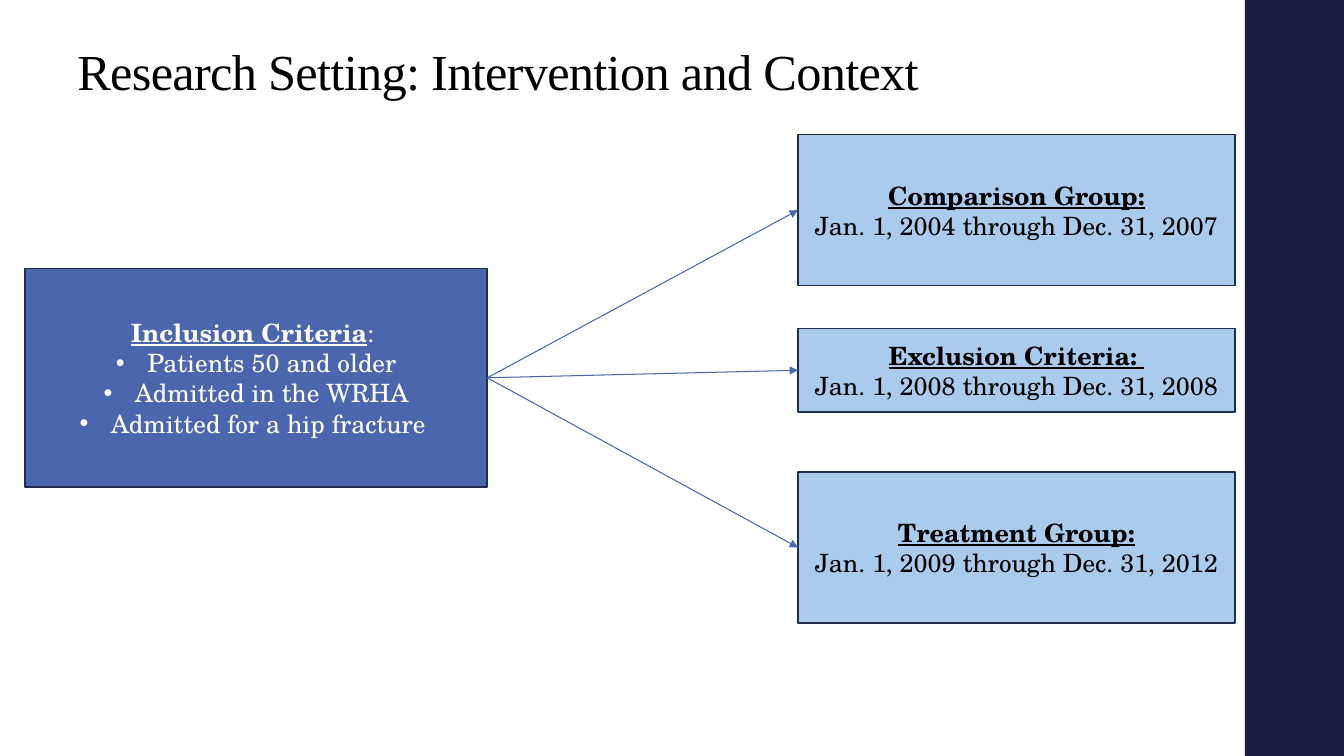
import pptx
import pptx.dml.color
import pptx.enum.shapes
import pptx.enum.text
import pptx.oxml
import pptx.oxml.ns
import pptx.util
from lxml import etree

Cm = pptx.util.Cm
Pt = pptx.util.Pt
RGBColor = pptx.dml.color.RGBColor
qn = pptx.oxml.ns.qn

WHITE = RGBColor(0xFF, 0xFF, 0xFF)
BLACK = RGBColor(0x00, 0x00, 0x00)
NIGHT = RGBColor(0x1B, 0x1E, 0x3E)
BLUE = RGBColor(0x4A, 0x66, 0xAC)
SKY = RGBColor(0xA9, 0xCC, 0xEE)
NAVY = RGBColor(0x20, 0x2D, 0x4B)

HEADING = {"bold": True, "underline": True}
PLAIN = {"bold": False, "underline": False}


class Deck:
    title_font = {"name": "Times New Roman", "size": Pt(36)}
    body_font = {"name": "TeX Gyre Schola", "size": Pt(18)}
    border = Pt(1.1)
    arrow_width = Pt(0.75)
    bullet_indent = Cm(0.79)

    def __init__(self, prs):
        self.s = prs.slides.add_slide(prs.slide_layouts[6])

    def run(self, p, text, color, *formats):
        r = p.add_run()
        r.text = text
        for values in formats:
            for name, value in values.items():
                setattr(r.font, name, value)
        r.font.color.rgb = color
        return r

    def rect(self, x, y, w, h, fill, line=None):
        sp = self.s.shapes.add_shape(
            pptx.enum.shapes.MSO_SHAPE.RECTANGLE, Cm(x), Cm(y), Cm(w), Cm(h))
        sp.shadow.inherit = False
        sp.fill.solid()
        sp.fill.fore_color.rgb = fill
        if line is None:
            sp.line.fill.background()
        else:
            sp.line.color.rgb = line
            sp.line.width = self.border
        return sp

    def title(self, text, x, y, w, h):
        tf = self.s.shapes.add_textbox(Cm(x), Cm(y), Cm(w), Cm(h)).text_frame
        tf.word_wrap = True
        tf.vertical_anchor = pptx.enum.text.MSO_ANCHOR.BOTTOM
        p = tf.paragraphs[0]
        p.line_spacing = 0.9
        r = self.run(p, text, BLACK, self.title_font)
        r.font._element.set("spc", "-50")

    def bullet(self, p):
        pPr = p._p.get_or_add_pPr()
        pPr.set("marL", str(self.bullet_indent))
        pPr.set("indent", str(-self.bullet_indent))
        etree.SubElement(pPr, qn("a:buFont")).set("typeface", "Arial")
        etree.SubElement(pPr, qn("a:buChar")).set("char", "•")

    def box(self, x, y, w, h, fill, color, paragraphs, bulleted=False):
        sp = self.rect(x, y, w, h, fill, NAVY)
        tf = sp.text_frame
        tf.word_wrap = True
        tf.vertical_anchor = pptx.enum.text.MSO_ANCHOR.MIDDLE
        for i, runs in enumerate(paragraphs):
            p = tf.add_paragraph() if i else tf.paragraphs[0]
            p.alignment = pptx.enum.text.PP_ALIGN.CENTER
            if i and bulleted:
                self.bullet(p)
            for text, values in runs:
                self.run(p, text, color, self.body_font, values)
        return sp

    def arrow(self, start, end):
        c = self.s.shapes.add_connector(
            pptx.enum.shapes.MSO_CONNECTOR.STRAIGHT, 0, 0, 0, 0)
        c.begin_connect(start, 3)
        c.end_connect(end, 1)
        c.line.color.rgb = BLUE
        c.line.width = self.arrow_width
        ln = c.line._get_or_add_ln()
        etree.SubElement(ln, qn("a:tailEnd")).set("type", "triangle")
        etree.SubElement(c._element.spPr, qn("a:effectLst"))


def main():
    prs = pptx.Presentation()
    prs.slide_width, prs.slide_height = Cm(33.87), Cm(19.05)
    deck = Deck(prs)
    deck.rect(31.37, 0, 2.5, 19.05, NIGHT)
    deck.title("Research Setting: Intervention and Context", 1.7, 0.94, 29, 1.73)

    criteria = ["Patients 50 and older", "Admitted in the WRHA",
                "Admitted for a hip fracture "]
    inclusion = deck.box(
        0.63, 6.77, 11.65, 5.5, BLUE, WHITE,
        [[("Inclusion Criteria", HEADING), (": ", PLAIN)]]
        + [[(text, PLAIN)] for text in criteria], bulleted=True)

    groups = [
        ("Comparison Group:", "Jan. 1, 2004 through Dec. 31, 2007", 3.39, 3.81),
        ("Exclusion Criteria: ", "Jan. 1, 2008 through Dec. 31, 2008", 8.28, 2.1),
        ("Treatment Group:", "Jan. 1, 2009 through Dec. 31, 2012", 11.89, 3.81),
    ]
    for heading, period, y, h in groups:
        group = deck.box(20.11, y, 11.01, h, SKY, BLACK,
                         [[(heading, HEADING)], [(period, PLAIN)]])
        deck.arrow(inclusion, group)

    prs.save("out.pptx")


if __name__ == "__main__":
    main()
